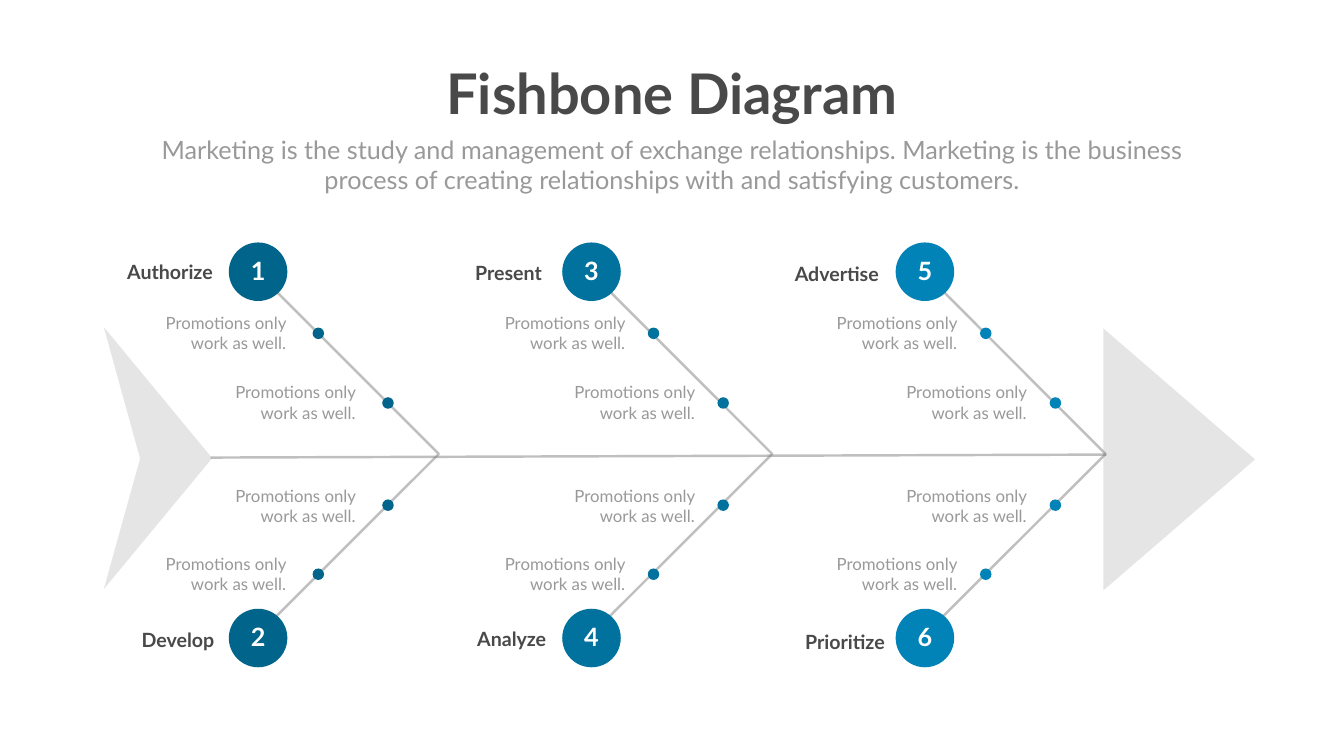
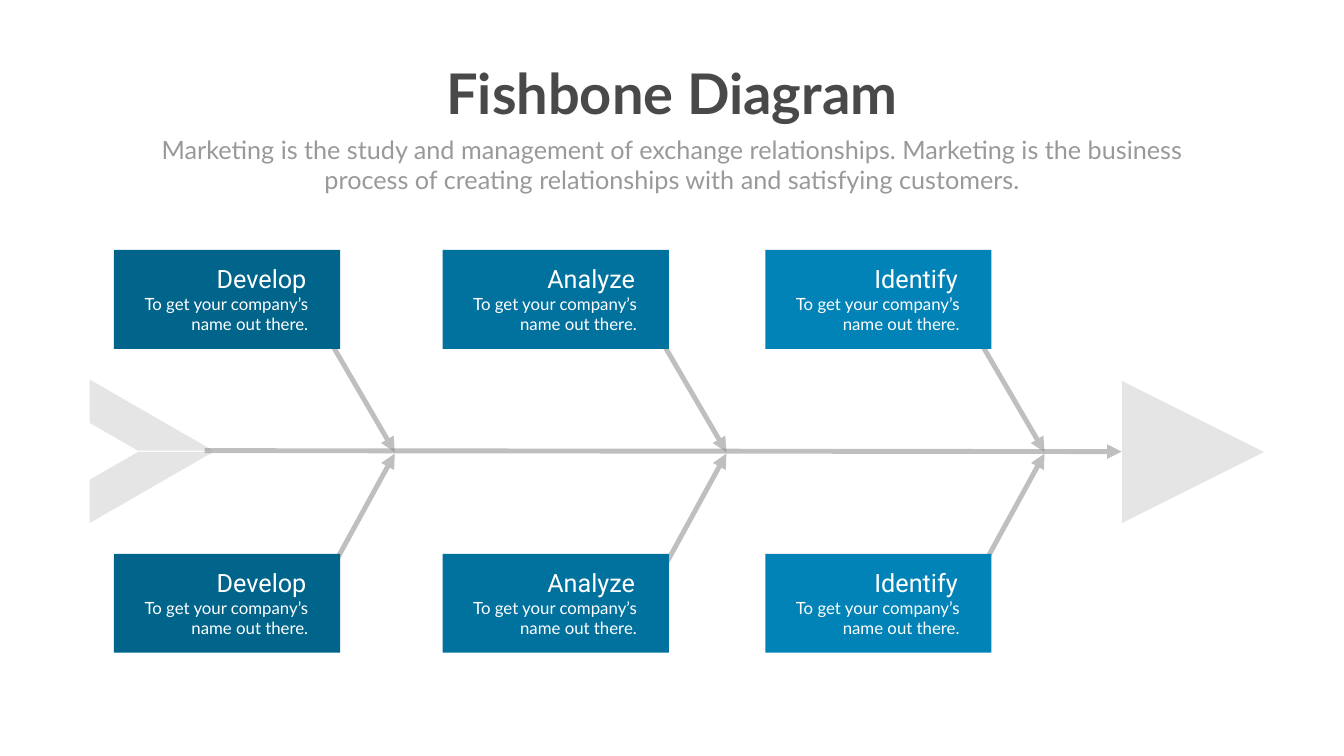
import pptx
import pptx.util
import pptx.dml.color
import pptx.enum.shapes
import pptx.enum.text
import pptx.oxml
import pptx.oxml.ns

Cm, Pt = pptx.util.Cm, pptx.util.Pt
RGBColor = pptx.dml.color.RGBColor
SHAPE = pptx.enum.shapes.MSO_SHAPE
ALIGN = pptx.enum.text.PP_ALIGN
qn = pptx.oxml.ns.qn

DARK = RGBColor(0x49, 0x49, 0x49)
MUTED = RGBColor(0x99, 0x99, 0x99)
GRAY = RGBColor(0x80, 0x80, 0x80)
WHITE = RGBColor(0xFF, 0xFF, 0xFF)
BLUES = [RGBColor(0x00, 0x64, 0x8B), RGBColor(0x00, 0x72, 0x9D), RGBColor(0x01, 0x83, 0xB7)]

HEADING = "Fishbone Diagram"
INTRO = ("Marketing is the study and management of exchange relationships. "
         "Marketing is the business process of creating relationships with "
         "and satisfying customers.")


class Deck:
    """Holds the shared style and the slide being drawn."""

    def __init__(self):
        self.prs = pptx.Presentation()
        self.prs.slide_width, self.prs.slide_height = Cm(67.72), Cm(38.1)
        self.s = None

    def slide(self):
        self.s = self.prs.slides.add_slide(self.prs.slide_layouts[6])
        self.text(22.05, 2.84, 23.62, 3.68, HEADING, 80, DARK, bold=True, wrap=False)
        self.text(7.42, 6.63, 52.88, 3.33, INTRO, 36, MUTED)

    def run(self, tf, text, size, color, bold=False, font="Lato", align=ALIGN.CENTER):
        p = tf.paragraphs[0]
        p.alignment = align
        r = p.add_run()
        r.text = text
        r.font.size, r.font.name, r.font.bold = Pt(size), font, bold
        r.font.color.rgb = color

    def text(self, x, y, w, h, text, size, color, wrap=True, **style):
        tf = self.s.shapes.add_textbox(Cm(x), Cm(y), Cm(w), Cm(h)).text_frame
        tf.word_wrap = wrap
        tf.auto_size = pptx.enum.text.MSO_AUTO_SIZE.SHAPE_TO_FIT_TEXT
        self.run(tf, text, size, color, **style)

    def alpha(self, fill_parent, percent):
        for clr in fill_parent.iter(qn("a:srgbClr")):
            clr.append(pptx.oxml.parse_xml(
                '<a:alpha xmlns:a="http://schemas.openxmlformats.org/drawingml/2006/main"'
                f' val="{percent * 1000}"/>'))

    def paint(self, sp, color, percent=None):
        sp.shadow.inherit = False
        sp.fill.solid()
        sp.fill.fore_color.rgb = color
        sp.line.fill.background()
        if percent:
            self.alpha(sp.element.spPr, percent)

    def shape(self, kind, x, y, w, h, color, percent=None):
        sp = self.s.shapes.add_shape(kind, Cm(x), Cm(y), Cm(w), Cm(h))
        self.paint(sp, color, percent)
        return sp

    def outline(self, points, closed):
        points = [(Cm(x), Cm(y)) for x, y in points]
        fb = self.s.shapes.build_freeform(*points[0])
        fb.add_line_segments(points[1:], close=closed)
        return fb.convert_to_shape()

    def stroke(self, sp, width):
        sp.line.color.rgb = GRAY
        sp.line.width = Pt(width)
        self.alpha(sp.line._get_or_add_ln(), 50)

    def bone(self, points):
        sp = self.outline(points, closed=False)
        sp.shadow.inherit = False
        sp.fill.background()
        self.stroke(sp, 3.5)

    def line(self, x1, y1, x2, y2, width, arrow=False):
        cn = self.s.shapes.add_connector(pptx.enum.shapes.MSO_CONNECTOR.STRAIGHT,
                                         Cm(x1), Cm(y1), Cm(x2), Cm(y2))
        self.stroke(cn, width)
        if arrow:
            ln = cn.line._get_or_add_ln()
            ln.append(ln.makeelement(qn("a:tailEnd"), {"type": "triangle"}))
        spPr = cn._element.spPr
        spPr.append(spPr.makeelement(qn("a:effectLst"), {}))

    def fish_head(self, x, y, w, h):
        self.shape(SHAPE.ISOSCELES_TRIANGLE, x, y, w, h, GRAY, 20).rotation = 90

    def badge(self, x, y, number, color):
        tf = self.shape(SHAPE.OVAL, x, y, 2.95, 2.95, color).text_frame
        tf.margin_left = tf.margin_right = tf.margin_top = 0
        tf.margin_bottom = Cm(0.15)
        tf.vertical_anchor = pptx.enum.text.MSO_ANCHOR.MIDDLE
        self.run(tf, str(number), 36, WHITE, bold=True)

    def card(self, x, y, title, body, color):
        self.shape(SHAPE.RECTANGLE, x, y, 11.4, 4.98, color)
        self.text(x + 0.08, y + 2.08, 9.96, 2.31, body, 24, WHITE, align=ALIGN.RIGHT)
        self.text(x - 1.07, y + 0.56, 11.02, 1.8, title, 36, WHITE,
                  font="Roboto", align=ALIGN.RIGHT)


def numbered_fishbone(deck):
    deck.slide()
    deck.line(10.62, 23.06, 55.75, 22.91, 3.5)

    # Per column: dot left, caption left, upper and lower label (text, left, top)
    columns = [
        (15.75, 7.62, ("Authorize", 5.77, 12.95), ("Develop", 6.17, 31.52)),
        (32.64, 24.71, ("Present", 22.83, 13.03), ("Analyze", 22.99, 31.47)),
        (49.38, 41.43, ("Advertise", 39.37, 13.06), ("Prioritize", 39.78, 31.62)),
    ]
    # Per rib point: shift to the right, dot top, caption top
    points = [(0, 16.51, 15.65), (3.51, 20.02, 19.13),
              (3.51, 25.17, 24.33), (0, 28.65, 27.76)]

    for i, (dot_x, caption_x, *labels) in enumerate(columns):
        x = 13.64 + 16.8 * i
        deck.bone([(x, 14.4), (x + 8.47, 22.88), (x, 31.34)])
        for shift, dot_y, caption_y in points:
            deck.shape(SHAPE.OVAL, dot_x + shift, dot_y, 0.58, 0.58, BLUES[i])
            deck.text(caption_x + shift, caption_y, 7.04, 2.31,
                      "Promotions only work as well.", 24, MUTED, align=ALIGN.RIGHT)
        for j, (label, label_x, label_y) in enumerate(labels):
            deck.badge(x - 2.11, 12.22 + 18.46 * j, 2 * i + j + 1, BLUES[i])
            deck.text(label_x, label_y, 5.59, 1.45, label, 28, DARK, bold=True)

    # Head and tail
    deck.fish_head(52.81, 19.33, 13.21, 7.65)
    tail = deck.outline([(5.23, 16.48), (10.69, 23.09), (5.23, 29.69), (7.06, 23.11)],
                        closed=True)
    deck.paint(tail, GRAY, 20)


def card_fishbone(deck):
    deck.slide()
    deck.line(10.31, 22.71, 56.52, 22.76, 7, arrow=True)

    # Ribs, above and below the spine
    for x in (16.54, 33.25, 49.28):
        for start_y, end_y in ((17.04, 22.78), (28.98, 22.86)):
            deck.line(x, start_y, x + 3.35, end_y, 7, arrow=True)

    # Tail and head
    for y, flipped in ((22.78, False), (19.13, True)):
        sp = deck.shape(SHAPE.DIAGONAL_STRIPE, 4.52, y, 6.22, 3.58, GRAY, 20)
        sp.adjustments[0] = 0.39
        if flipped:
            sp.element.spPr.find(qn("a:xfrm")).set("flipV", "1")
    deck.fish_head(56.54, 19.2, 7.16, 7.16)

    # Cards
    for y in (12.6, 27.91):
        for x, title, color in zip((5.74, 22.3, 38.56),
                                   ("Develop", "Analyze", "Identify"), BLUES):
            deck.card(x, y, title, "To get your company’s name out there.", color)


def main():
    deck = Deck()
    numbered_fishbone(deck)
    card_fishbone(deck)
    deck.prs.save("out.pptx")


if __name__ == "__main__":
    main()
